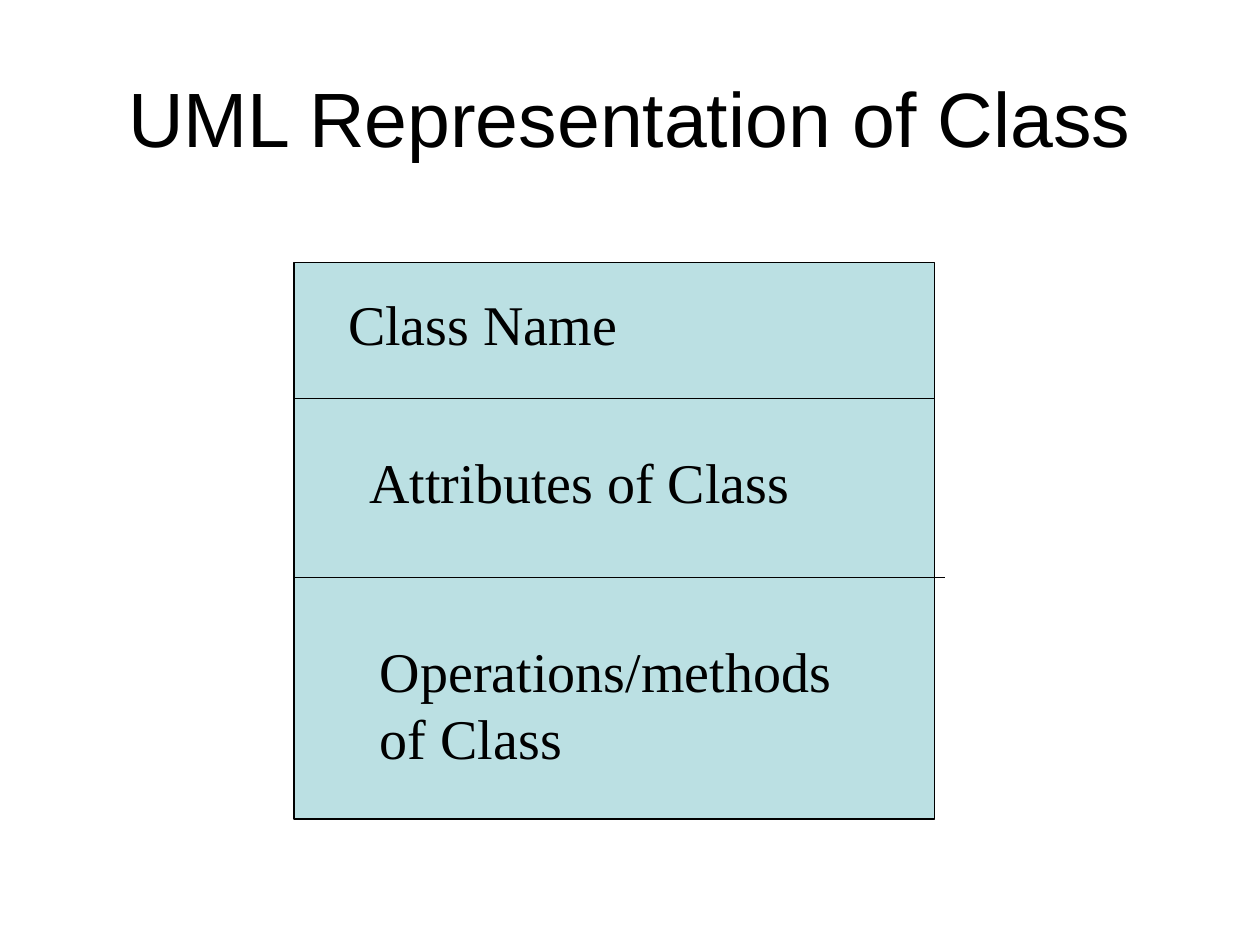
"""Build a slide showing the UML notation of a class as a three-part box."""
from dataclasses import dataclass

from pptx import Presentation
from pptx import util as u
from pptx.dml.color import RGBColor
from pptx.enum import shapes, text
from pptx.oxml import ns, xmlchemy
from pptx.slide import Slide


@dataclass(frozen=True)
class Theme:
    ink: RGBColor = RGBColor(0x00, 0x00, 0x00)
    box_fill: RGBColor = RGBColor(0xBB, 0xE0, 0xE3)
    title_font: str = "Arial"
    label_font: str = "Times New Roman"
    title_size: u.Pt = u.Pt(44)
    label_size: u.Pt = u.Pt(32)
    label_space: u.Pt = u.Pt(20)
    outline: u.Pt = u.Pt(0.75)


@dataclass(frozen=True)
class Frame:
    left: float
    top: float
    width: float
    height: float

    def lengths(self) -> tuple[u.Cm, ...]:
        return tuple(map(u.Cm, (self.left, self.top, self.width, self.height)))


@dataclass(frozen=True)
class Compartment:
    wording: str
    frame: Frame


@dataclass(frozen=True)
class Divider:
    top: float
    overhang: float


THEME = Theme()
HEADING = Compartment("UML Representation of Class", Frame(1.27, 0.76, 22.86, 3.18))
CLASS_BOX = Frame(5.93, 5.29, 12.91, 11.22)
DIVIDERS = (Divider(8.04, 0), Divider(11.64, 0.21))
COMPARTMENTS = (
    Compartment("Class Name", Frame(6.77, 5.72, 9.1, 1.62)),
    Compartment("Attributes of Class", Frame(7.2, 8.89, 10.16, 1.62)),
    Compartment("Operations/methods of Class", Frame(7.41, 12.7, 10.8, 2.97)),
)


def add_words(slide: Slide, part: Compartment, font_name: str, size: u.Pt):
    """Write one wrapped paragraph and return its text frame."""
    words = slide.shapes.add_textbox(*part.frame.lengths()).text_frame
    words.word_wrap = True
    words.text = part.wording
    font = words.paragraphs[0].runs[0].font
    font.name, font.size = font_name, size
    font.color.rgb = THEME.ink
    return words


def add_heading(slide: Slide) -> None:
    """Centre the heading in its frame."""
    heading = add_words(slide, HEADING, THEME.title_font, THEME.title_size)
    heading.vertical_anchor = text.MSO_ANCHOR.MIDDLE
    heading.paragraphs[0].alignment = text.PP_ALIGN.CENTER


def add_class_box(slide: Slide) -> None:
    """Draw the outlined rectangle of the class."""
    class_box = slide.shapes.add_shape(
        shapes.MSO_SHAPE.RECTANGLE, *CLASS_BOX.lengths()
    )
    class_box.shadow.inherit = False
    class_box.fill.solid()
    class_box.fill.fore_color.rgb = THEME.box_fill
    class_box.line.color.rgb = THEME.ink
    class_box.line.width = THEME.outline


def add_divider(slide: Slide, divider: Divider) -> None:
    """Draw a line across the class box."""
    right = CLASS_BOX.left + CLASS_BOX.width + divider.overhang
    rule = slide.shapes.add_connector(
        shapes.MSO_CONNECTOR.STRAIGHT,
        u.Cm(CLASS_BOX.left), u.Cm(divider.top), u.Cm(right), u.Cm(divider.top),
    )
    rule.line.color.rgb = THEME.ink
    rule.line.width = THEME.outline
    rule._element.spPr.append(xmlchemy.OxmlElement("a:effectLst", ns.nsdecls and None))


def add_compartment(slide: Slide, compartment: Compartment) -> None:
    """Label one part of the class box."""
    label = add_words(slide, compartment, THEME.label_font, THEME.label_size)
    label.auto_size = text.MSO_AUTO_SIZE.SHAPE_TO_FIT_TEXT
    label.paragraphs[0].space_before = THEME.label_space


def main() -> None:
    """Assemble and save the slide."""
    deck = Presentation()
    deck.slide_width, deck.slide_height = u.Cm(25.4), u.Cm(19.05)
    slide = deck.slides.add_slide(deck.slide_layouts[6])
    add_heading(slide)
    add_class_box(slide)
    for divider in DIVIDERS:
        add_divider(slide, divider)
    for compartment in COMPARTMENTS:
        add_compartment(slide, compartment)
    deck.save("out.pptx")


if __name__ == "__main__":
    main()
